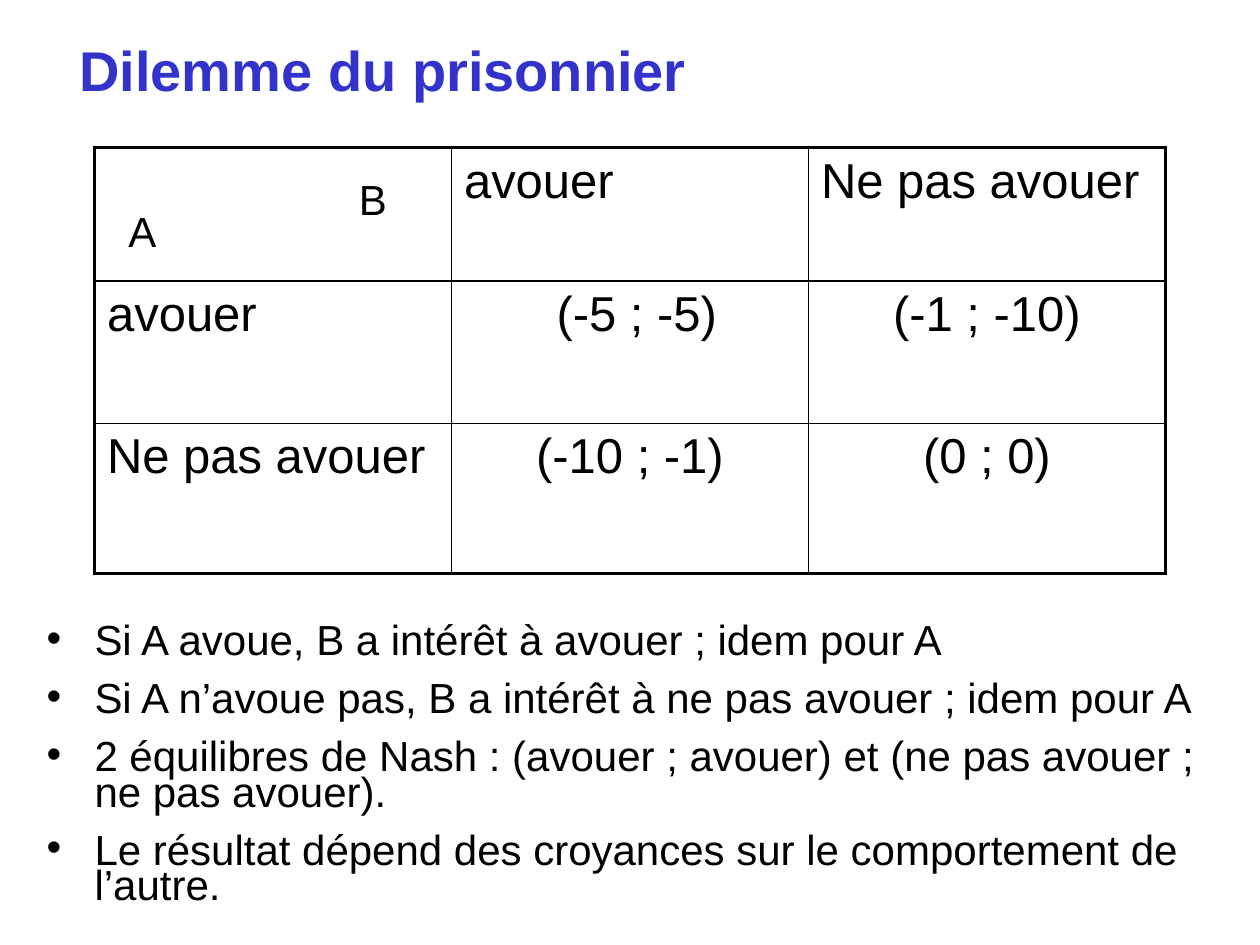
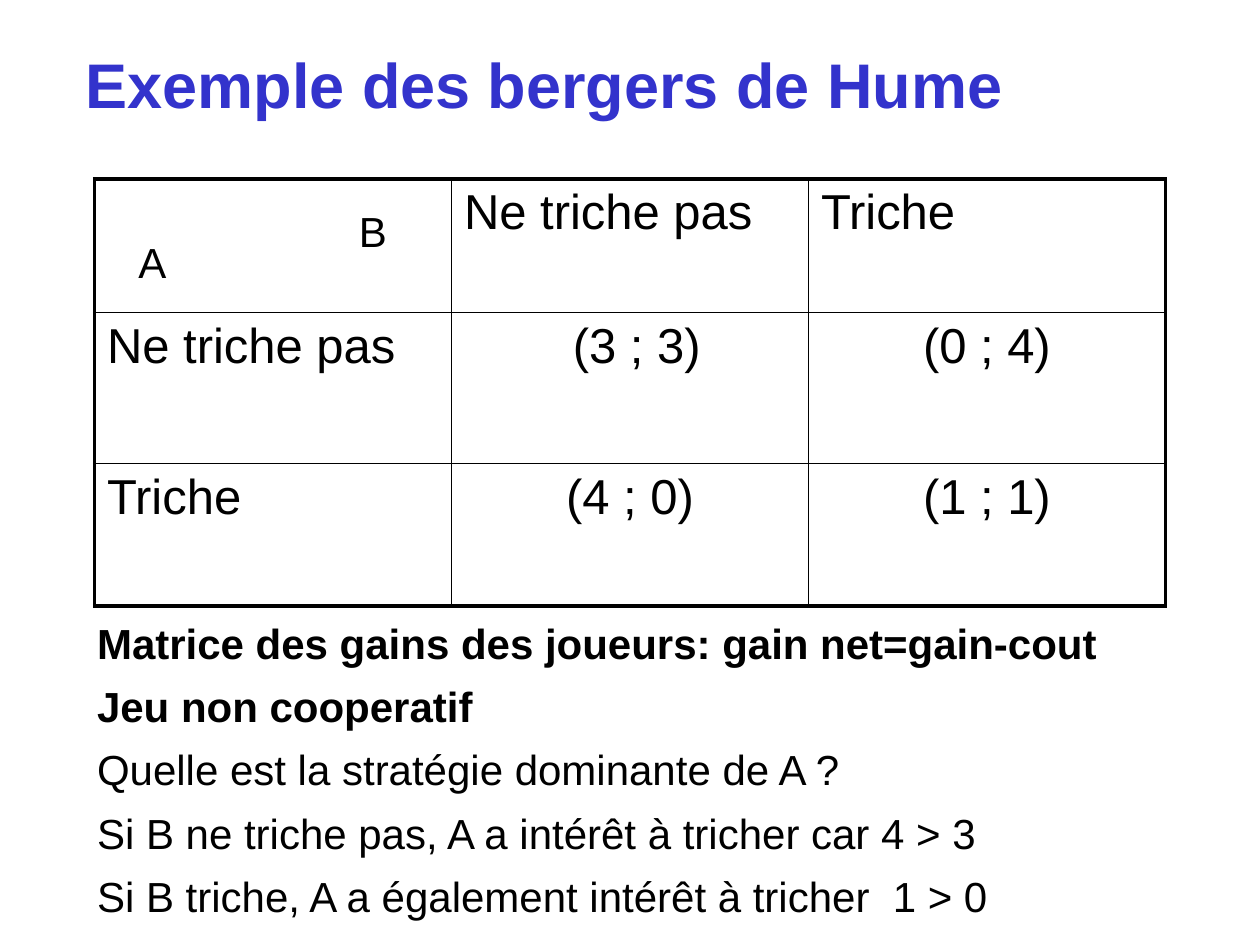
from dataclasses import dataclass

from lxml.etree import SubElement
from pptx import Presentation
from pptx.dml.color import RGBColor
from pptx.enum.text import MSO_ANCHOR as Anchor, MSO_AUTO_SIZE as AutoSize, PP_ALIGN as Align
from pptx.oxml.ns import qn
from pptx.util import Pt

EMU_PER_PX = 9144  # 100 px to the inch
SLIDE_SIZE = (1000, 750)
FONT = "Arial"
COLOURS = {"title": "3333CC", "text": "000000", "border": "000000"}
TABLE_SIZE, LETTER_SIZE, BODY_SIZE = 28, 24, 24
OUTER_LINE, INNER_LINE = 2.25, 1


@dataclass(frozen=True)
class Box:
    left: int
    top: int
    width: int
    height: int

    def emu(self) -> list[int]:
        return [px(side) for side in (self.left, self.top, self.width, self.height)]


@dataclass(frozen=True)
class Payoffs:
    """A two-player game: the same strategies name the rows and the columns."""
    top: int
    row_heights: tuple[int, ...]
    strategies: tuple[str, str]
    gains: tuple[tuple[str, str], tuple[str, str]]
    players: dict[str, Box]


@dataclass(frozen=True)
class Body:
    box: Box
    lines: tuple[str, ...]
    line_spacing: float
    bullet_indent: int = 0
    bold_lines: int = 0


@dataclass(frozen=True)
class GamePage:
    title: str
    title_box: Box
    title_size: int
    payoffs: Payoffs
    body: Body


PAGES = (
    GamePage(
        "Dilemme du prisonnier", Box(53, 13, 850, 83), 32,
        Payoffs(
            117, (106, 113, 119), ("avouer", "Ne pas avouer"),
            ((" (-5 ; -5)", "(-1 ; -10)"), ("(-10 ; -1)", "(0 ; 0)")),
            {"B": Box(275, 133, 67, 50), "A": Box(92, 158, 67, 50)},
        ),
        Body(
            Box(27, 493, 961, 242),
            (
                "Si A avoue, B a intérêt à avouer ; idem pour A",
                "Si A n’avoue pas, B a intérêt à ne pas avouer ; idem pour A",
                "2 équilibres de Nash : (avouer ; avouer) et (ne pas avouer ; ne pas avouer).",
                "Le résultat dépend des croyances sur le comportement de l’autre.",
            ),
            line_spacing=0.7, bullet_indent=38,
        ),
    ),
    GamePage(
        "Exemple des bergers de Hume", Box(58, 25, 850, 83), 36,
        Payoffs(
            142, (106, 120, 113), ("Ne triche pas", "Triche"),
            ((" (3 ; 3)", "(0 ; 4)"), ("(4 ; 0)", "(1 ; 1)")),
            {"B": Box(275, 158, 67, 50), "A": Box(100, 183, 67, 50)},
        ),
        Body(
            Box(67, 493, 892, 254),
            (
                "Matrice des gains des joueurs: gain net=gain-cout",
                "Jeu non cooperatif",
                "Quelle est la stratégie dominante de A ?",
                "Si B ne triche pas, A a intérêt à tricher car 4 > 3",
                "Si B triche, A a également intérêt à tricher  1 > 0",
            ),
            line_spacing=0.8, bold_lines=2,
        ),
    ),
)


def px(length: int) -> int:
    return length * EMU_PER_PX


def write(para, text: str, size: int, colour: str = "text", bold: bool = False,
          align: Align = Align.LEFT, space_before: float = 0) -> None:
    para.text = text
    para.alignment = align
    para.space_before = Pt(space_before)
    for span in para.runs:
        span.font.name = FONT
        span.font.size = Pt(size)
        span.font.bold = bold
        span.font.color.rgb = RGBColor.from_string(COLOURS[colour])


def place(shape, box: Box) -> None:
    shape.left, shape.top, shape.width, shape.height = box.emu()
    shape.text_frame.word_wrap = True
    shape.text_frame.auto_size = AutoSize.NONE


def set_bullet(para, indent: int) -> None:
    """Hang a bullet by the indent, or remove the bullet when it is zero."""
    properties = para._p.get_or_add_pPr()
    properties.set("marL", str(px(indent)))
    properties.set("indent", str(-px(indent)))
    if indent:
        SubElement(properties, qn("a:buChar"), char="•")
    else:
        SubElement(properties, qn("a:buNone"))


def draw_borders(cell, row: int, column: int, last: int) -> None:
    """Thick lines around the table, thin ones inside it."""
    properties = cell._tc.get_or_add_tcPr()
    on_edge = {"L": column == 0, "R": column == last, "T": row == 0, "B": row == last}
    for side, outer in on_edge.items():
        width = Pt(OUTER_LINE if outer else INNER_LINE)
        line = SubElement(properties, qn(f"a:ln{side}"), w=str(width))
        fill = SubElement(line, qn("a:solidFill"))
        SubElement(fill, qn("a:srgbClr"), val=COLOURS["border"])


def draw_payoffs(page, payoffs: Payoffs) -> None:
    rows = [("", *payoffs.strategies)]
    rows += [(name, *gains) for name, gains in zip(payoffs.strategies, payoffs.gains)]
    last = len(rows) - 1
    box = Box(75, payoffs.top, 850, sum(payoffs.row_heights))
    table = page.shapes.add_table(len(rows), len(rows[0]), *box.emu()).table
    table.first_row = table.horz_banding = False
    for row, texts in enumerate(rows):
        table.rows[row].height = px(payoffs.row_heights[row])
        for column, text in enumerate(texts):
            cell = table.cell(row, column)
            draw_borders(cell, row, column, last)
            cell.fill.background()
            align = Align.CENTER if row and column else Align.LEFT
            write(cell.text_frame.paragraphs[0], text, TABLE_SIZE,
                  align=align, space_before=0.2 * TABLE_SIZE)
    for player, letter_box in payoffs.players.items():
        letter = page.shapes.add_textbox(*letter_box.emu())
        place(letter, letter_box)
        write(letter.text_frame.paragraphs[0], player, LETTER_SIZE,
              space_before=0.5 * LETTER_SIZE)


def fill_body(holder, body: Body) -> None:
    place(holder, body.box)
    frame = holder.text_frame
    frame.text = "\n".join(body.lines)
    for number, para in enumerate(frame.paragraphs):
        write(para, body.lines[number], BODY_SIZE, bold=number < body.bold_lines,
              space_before=13)
        para.line_spacing = body.line_spacing
        set_bullet(para, body.bullet_indent)


def add_game_page(deck, game: GamePage) -> None:
    page = deck.slides.add_slide(deck.slide_layouts[1])
    title, body = page.placeholders
    place(title, game.title_box)
    title.text_frame.vertical_anchor = Anchor.MIDDLE
    write(title.text_frame.paragraphs[0], game.title, game.title_size, "title", bold=True)
    draw_payoffs(page, game.payoffs)
    fill_body(body, game.body)


def main() -> None:
    deck = Presentation()
    deck.slide_width, deck.slide_height = map(px, SLIDE_SIZE)
    for game in PAGES:
        add_game_page(deck, game)
    deck.save("out.pptx")


if __name__ == "__main__":
    main()
